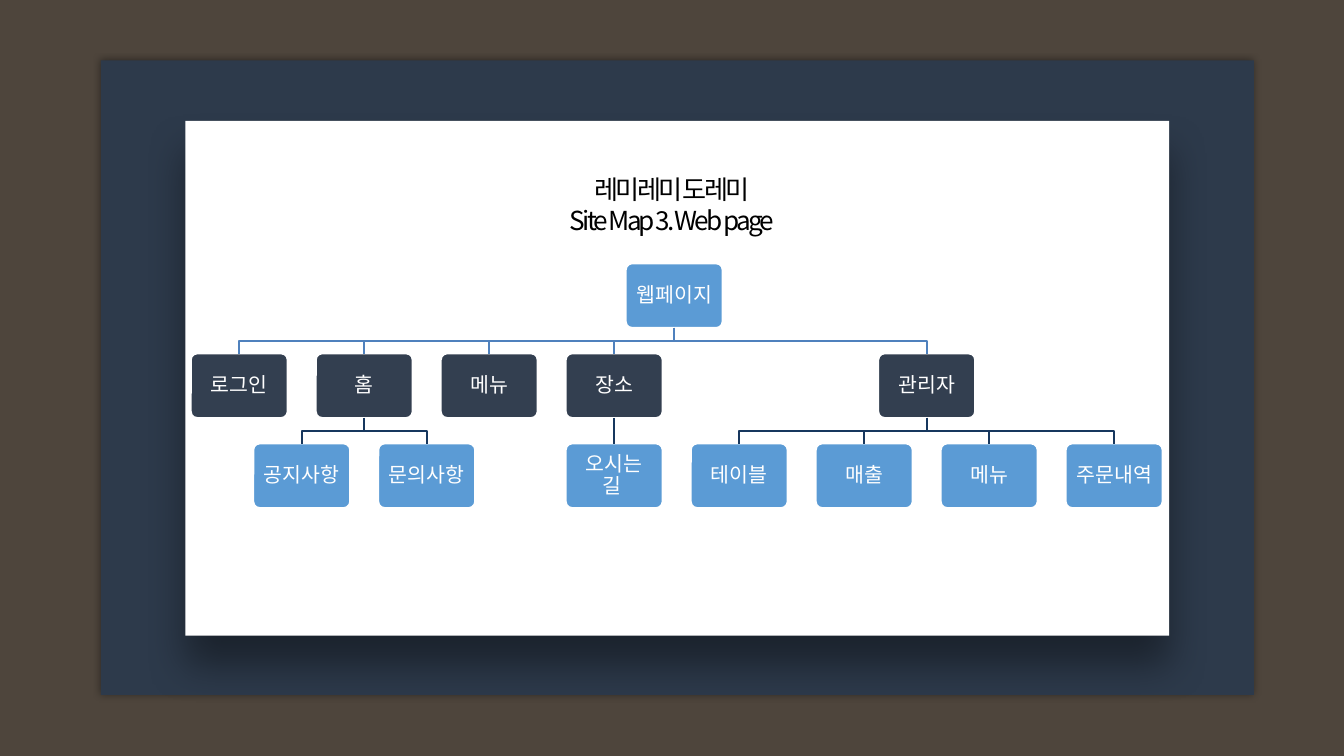
from dataclasses import dataclass

from lxml.etree import SubElement
from pptx import Presentation
from pptx.dml.color import RGBColor
from pptx.enum.shapes import MSO_CONNECTOR, MSO_SHAPE
from pptx.enum.text import MSO_ANCHOR, MSO_AUTO_SIZE, PP_ALIGN
from pptx.oxml.ns import qn
from pptx.shapes.autoshape import Shape
from pptx.util import Inches, Pt

FONT = "Noto Sans CJK KR"
BLUE, DARK, WHITE = "5B9BD5", "333F50", "FFFFFF"
LEFT, PITCH = 1.42, 0.93
WIDE, HIGH = 0.72, 0.48
TOPS = (1.96, 2.63, 3.3)
FILLS = (BLUE, DARK, BLUE)
LINES = ("4F81BD", "17375E")


@dataclass(frozen=True)
class Node:
    """A page of the site; col counts box steps from the left."""
    text: str
    col: float
    kids: tuple["Node", ...] = ()


SITE = Node("웹페이지", 3.48, (
    Node("로그인", 0),
    Node("홈", 1, (Node("공지사항", 0.5), Node("문의사항", 1.5))),
    Node("메뉴", 2),
    Node("장소", 3, (Node("오시는 길 ", 3),)),
    Node("관리자", 5.5, (Node("테이블", 4), Node("매출", 5),
                      Node("메뉴", 6), Node("주문내역", 7))),
))


def paint(target, color: str) -> None:
    """Give a fill or a line one solid colour."""
    target.solid()
    target.fore_color.rgb = RGBColor.from_string(color)


def style(para, size: float, color: str, track: float = 0) -> None:
    para.alignment = PP_ALIGN.CENTER
    font = para.font
    font.size, font.name = Pt(size), FONT
    paint(font.fill, color)
    props = para._p.pPr.find(qn("a:defRPr"))
    SubElement(props, qn("a:ea"), typeface=FONT)
    if track:
        props.set("spc", str(round(track * 100)))


def panel(shapes, box: tuple, color: str, blur: float, dist: float, angle: float) -> None:
    """Draw a plain sheet with a soft black shadow."""
    sheet = shapes.add_shape(MSO_SHAPE.RECTANGLE, *map(Inches, box))
    paint(sheet.fill, color)
    sheet.line.fill.background()
    effects = SubElement(sheet._element.spPr, qn("a:effectLst"))
    shade = SubElement(effects, qn("a:outerShdw"), blurRad=str(Pt(blur)),
                       dist=str(Pt(dist)), dir=str(angle * 60000), rotWithShape="0")
    black = SubElement(shade, qn("a:srgbClr"), val="000000")
    SubElement(black, qn("a:alpha"), val="40000")


def title(shapes) -> None:
    box = shapes.add_textbox(*map(Inches, (3.79, 1.24, 2.42, 0.57)))
    frame = box.text_frame
    frame.word_wrap = True
    frame.auto_size = MSO_AUTO_SIZE.SHAPE_TO_FIT_TEXT
    frame.text = "레미레미 도레미\nSite Map 3. Web page"
    for para in frame.paragraphs:
        style(para, 14, "000000", -1.5)


def card(shapes, node: Node, level: int) -> Shape:
    box = shapes.add_shape(
        MSO_SHAPE.ROUNDED_RECTANGLE, Inches(LEFT + PITCH * node.col),
        Inches(TOPS[level]), Inches(WIDE), Inches(HIGH))
    box.adjustments[0] = 0.1
    box.shadow.inherit = False
    paint(box.fill, FILLS[level])
    paint(box.line.fill, WHITE)
    box.line.width = Pt(1)
    frame = box.text_frame
    frame.word_wrap = True
    frame.vertical_anchor = MSO_ANCHOR.MIDDLE
    frame.margin_left = frame.margin_right = Inches(0.06)
    frame.margin_top = frame.margin_bottom = Inches(0.06)
    frame.text = node.text
    para = frame.paragraphs[0]
    para.line_spacing = 0.9
    style(para, 11, WHITE)
    return box


def link(shapes, upper: Shape, lower: Shape, color: str) -> None:
    """Join two cards: straight down, or with a bend halfway."""
    x1, y1 = upper.left + upper.width // 2, upper.top + upper.height
    x2, y2 = lower.left + lower.width // 2, lower.top
    if x1 == x2:
        line = shapes.add_connector(MSO_CONNECTOR.STRAIGHT, x1, y1, x2, y2)
        line.begin_connect(upper, 2)
        line.end_connect(lower, 0)
        SubElement(line._element.spPr, qn("a:effectLst"))
    else:
        mid = (y1 + y2) // 2
        path = shapes.build_freeform(x1, y1)
        path.add_line_segments([(x1, mid), (x2, mid), (x2, y2)], close=False)
        line = path.convert_to_shape()
        line.fill.background()
        line.shadow.inherit = False
    paint(line.line.fill, color)
    line.line.width = Pt(1)


def tree(shapes, node: Node, level: int = 0) -> Shape:
    """Draw a node with all below it, and return its card."""
    box = card(shapes, node, level)
    for kid in node.kids:
        link(shapes, box, tree(shapes, kid, level + 1), LINES[level])
    return box


def main() -> None:
    deck = Presentation()
    deck.slide_width = Inches(10)
    deck.slide_height = deck.slide_width * 9 // 16
    slide = deck.slides.add_slide(deck.slide_layouts[6])
    paint(slide.background.fill, "4E453C")
    panel(slide.shapes, (0.75, 0.45, 8.58, 4.72), "2D3A4B", 4, 0, 106)
    panel(slide.shapes, (1.38, 0.9, 7.32, 3.83), WHITE, 22, 16, 90)
    title(slide.shapes)
    tree(slide.shapes, SITE)
    deck.save("out.pptx")


if __name__ == "__main__":
    main()
